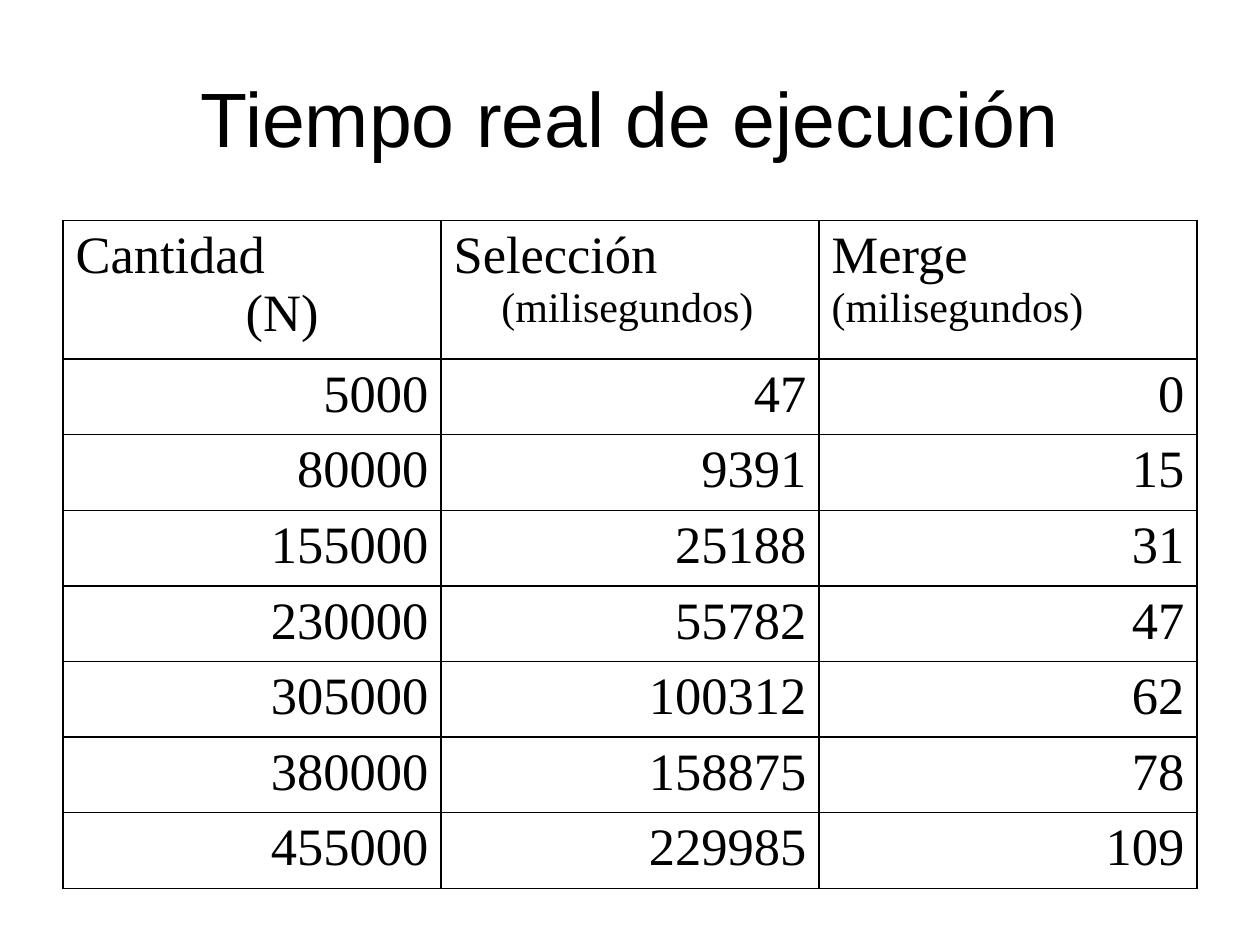
from lxml import etree
from pptx import Presentation
from pptx import util as u
from pptx.dml import color
from pptx.enum import text
from pptx.oxml import ns

COLORS = {"ink": "000000", "paper": "FFFFFF"}
INK = color.RGBColor.from_string(COLORS["ink"])
PAPER = color.RGBColor.from_string(COLORS["paper"])
HANGING, N_INDENT = 0.38, 1.35

# Each header paragraph: left margin, first-line indent, (text, size) runs
HEADERS = [
    [(HANGING, -HANGING, [("Cantidad", 30)]), (N_INDENT, 0, [("(N)", 30)])],
    [(HANGING, -HANGING, [("Selección ", 30), ("(milisegundos)", 24)])],
    [(HANGING, -HANGING, [("Merge", 30)]), (HANGING, -HANGING, [("(milisegundos)", 24)])],
]
TIMES = [
    (5000, 47, 0),
    (80000, 9391, 15),
    (155000, 25188, 31),
    (230000, 55782, 47),
    (305000, 100312, 62),
    (380000, 158875, 78),
    (455000, 229985, 109),
]


def style_run(run, font_name, size):
    run.font.name = font_name
    run.font.size = u.Pt(size)
    run.font.color.rgb = INK


def add_borders(cell):
    properties = cell._tc.get_or_add_tcPr()
    for side in ("lnL", "lnR", "lnT", "lnB"):
        line = etree.SubElement(properties, ns.qn("a:" + side), w=str(u.Pt(1)))
        fill = etree.SubElement(line, ns.qn("a:solidFill"))
        etree.SubElement(fill, ns.qn("a:srgbClr"), val=COLORS["ink"])


presentation = Presentation()
presentation.slide_width, presentation.slide_height = u.Inches(10), u.Inches(7.5)
slide = presentation.slides.add_slide(presentation.slide_layouts[5])
margin = u.Inches(0.5)
content_width = presentation.slide_width - 2 * margin

# Title
title = slide.shapes.title
title.left, title.top = margin, u.Inches(0.3)
title.width, title.height = content_width, u.Inches(1.25)
title.text_frame.text = "Tiempo real de ejecución"
title.text_frame.vertical_anchor = text.MSO_ANCHOR.MIDDLE
title.text_frame.paragraphs[0].alignment = text.PP_ALIGN.CENTER
style_run(title.text_frame.paragraphs[0].runs[0], "Arial", 44)

# Table grid
header_height, row_height = u.Inches(1.1), u.Inches(0.6)
table = slide.shapes.add_table(
    len(TIMES) + 1, len(HEADERS), margin, u.Inches(1.75),
    content_width, header_height + len(TIMES) * row_height).table
table.first_row = table.horz_banding = False
for row in table.rows:
    row.height = row_height
table.rows[0].height = header_height

# Header and values share one paragraph description
rows = [HEADERS] + [
    [[(HANGING, -HANGING, [(str(value), 30)])] for value in values] for values in TIMES]
for row_index, contents in enumerate(rows):
    for column_index, paragraphs in enumerate(contents):
        cell = table.cell(row_index, column_index)
        add_borders(cell)
        cell.fill.solid()
        cell.fill.fore_color.rgb = PAPER
        for index, (left, indent, runs) in enumerate(paragraphs):
            frame = cell.text_frame
            paragraph = frame.add_paragraph() if index else frame.paragraphs[0]
            paragraph.alignment = text.PP_ALIGN.RIGHT if row_index else text.PP_ALIGN.LEFT
            properties = paragraph._p.get_or_add_pPr()
            properties.set("marL", str(u.Inches(left)))
            properties.set("indent", str(u.Inches(indent)))
            for wording, size in runs:
                run = paragraph.add_run()
                run.text = wording
                style_run(run, "Times New Roman", size)

presentation.save("out.pptx")
